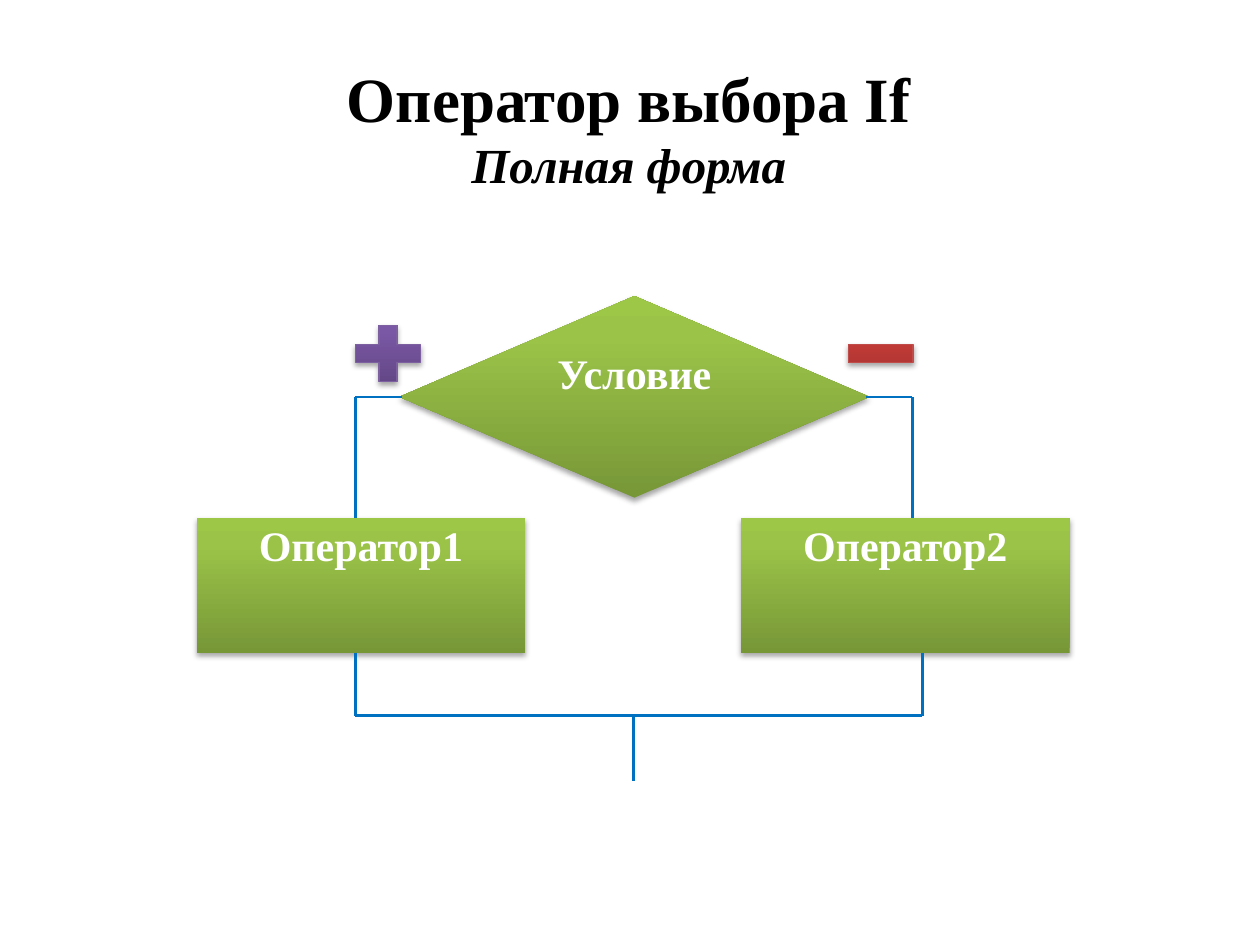
from dataclasses import dataclass

from lxml.etree import SubElement
from pptx import Presentation
from pptx.dml.color import RGBColor
from pptx.enum.shapes import MSO_CONNECTOR, MSO_SHAPE
from pptx.enum.text import MSO_ANCHOR, MSO_AUTO_SIZE, PP_ALIGN
from pptx.oxml.ns import qn
from pptx.util import Inches, Pt

COLUMNS, ROWS = 100, 75
GREEN = ("779737", "9BC348", "9DC746")
PURPLE = ("5F4480", "7B58A6", "7C57A8")
RED = ("9C2F2D", "CB3E3A", "CE3B37")
STOPS = (0, 80, 100)

presentation = Presentation()
presentation.slide_width = Inches(10)
presentation.slide_height = Inches(7.5)
slide = presentation.slides.add_slide(presentation.slide_layouts[5])


@dataclass
class Block:
    geometry: MSO_SHAPE
    column: float
    row: float
    columns: float
    rows: float
    shades: tuple[str, str, str]
    outline: str = ""
    label: str = ""
    side_inset: float = 0.1


@dataclass
class Link:
    start: tuple[float, float]
    end: tuple[float, float]


def color(value: str) -> RGBColor:
    return RGBColor.from_string(value)


def across(columns: float) -> int:
    return round(presentation.slide_width * columns / COLUMNS)


def down(rows: float) -> int:
    return round(presentation.slide_height * rows / ROWS)


def apply(target, formats: dict) -> None:
    for name, value in formats.items():
        setattr(target, name, value)


def write(paragraph, wording: str, size: int, shade: str, italic: bool = False) -> None:
    paragraph.alignment = PP_ALIGN.CENTER
    run = paragraph.add_run()
    run.text = wording
    apply(run.font, {"name": "Times New Roman", "size": Pt(size), "bold": True, "italic": italic})
    run.font.color.rgb = color(shade)


def shade_upward(shape, shades: tuple[str, str, str]) -> None:
    shape.fill.gradient()
    gradient = shape._element.spPr.find(qn("a:gradFill"))
    for child in list(gradient):
        gradient.remove(child)
    stops = SubElement(gradient, qn("a:gsLst"))
    for position, shade in zip(STOPS, shades):
        stop = SubElement(stops, qn("a:gs"), pos=str(position * 1000))
        SubElement(stop, qn("a:srgbClr"), val=shade)
    SubElement(gradient, qn("a:lin"), ang="16200000", scaled="0")


def cast_shadow(shape) -> None:
    shape.shadow.inherit = False
    effects = shape._element.spPr.find(qn("a:effectLst"))
    shadow = SubElement(effects, qn("a:outerShdw"), blurRad=str(Pt(3.1)), dist=str(Pt(1.8)),
                        dir="5400000", rotWithShape="0")
    tint = SubElement(shadow, qn("a:srgbClr"), val="000000")
    SubElement(tint, qn("a:alpha"), val="35000")


def draw_block(block: Block) -> None:
    shape = slide.shapes.add_shape(block.geometry, across(block.column), down(block.row),
                                   across(block.columns), down(block.rows))
    shade_upward(shape, block.shades)
    if block.outline:
        shape.line.color.rgb = color(block.outline)
        shape.line.width = Pt(0.75)
    else:
        shape.line.fill.background()
    cast_shadow(shape)
    if block.label:
        side, edge = Inches(block.side_inset), Inches(0.01)
        apply(shape.text_frame, {"margin_left": side, "margin_right": side, "margin_top": edge,
                                 "margin_bottom": edge, "vertical_anchor": MSO_ANCHOR.TOP,
                                 "word_wrap": True})
        write(shape.text_frame.paragraphs[0], block.label, 24, "FFFFFF")


def draw_link(link: Link) -> None:
    connector = slide.shapes.add_connector(
        MSO_CONNECTOR.STRAIGHT, across(link.start[0]), down(link.start[1]),
        across(link.end[0]), down(link.end[1]))
    connector.line.color.rgb = color("0070C0")
    connector.line.width = Pt(1.5)
    SubElement(connector._element.spPr, qn("a:effectLst"))


heading = slide.shapes.title
apply(heading, {"left": across(4.2), "top": down(4.2), "width": across(91.4), "height": down(11.7)})
apply(heading.text_frame, {"word_wrap": True, "vertical_anchor": MSO_ANCHOR.TOP,
                           "auto_size": MSO_AUTO_SIZE.SHAPE_TO_FIT_TEXT})
write(heading.text_frame.paragraphs[0], "Оператор выбора If", 36, "000000")
write(heading.text_frame.add_paragraph(), "Полная форма", 28, "000000", italic=True)

branch_row, operator_row, merge_row = 31.5, 41.1, 56.8
operator_bottom = operator_row + 10.7
left_branch, right_branch, right_exit, middle = 28.2, 72.4, 73.2, 50.3

blocks = [
    Block(MSO_SHAPE.FLOWCHART_DECISION, 31.7, 23.5, 37.3, 16, GREEN, label="Условие"),
    Block(MSO_SHAPE.FLOWCHART_PROCESS, 15.6, operator_row, 26.1, 10.7, GREEN, label="Оператор1"),
    Block(MSO_SHAPE.FLOWCHART_PROCESS, 58.8, operator_row, 26.1, 10.7, GREEN, label="Оператор2",
          side_inset=0.02),
    Block(MSO_SHAPE.MATH_PLUS, 27.3, 25, 7, 6.1, PURPLE, outline="7D60A0"),
    Block(MSO_SHAPE.MATH_MINUS, 66.4, 25, 7, 6.1, RED, outline="BF4C48"),
]
links = [
    Link((left_branch, branch_row), (31.9, branch_row)),
    Link((68.7, branch_row), (right_branch, branch_row)),
    Link((left_branch, branch_row), (left_branch, operator_row)),
    Link((right_branch, branch_row), (right_branch, operator_row)),
    Link((left_branch, operator_bottom), (left_branch, merge_row)),
    Link((right_exit, operator_bottom), (right_exit, merge_row)),
    Link((left_branch, merge_row), (right_exit, merge_row)),
    Link((middle, merge_row), (middle, 62)),
]
for block in blocks:
    draw_block(block)
for link in links:
    draw_link(link)

presentation.save("out.pptx")
